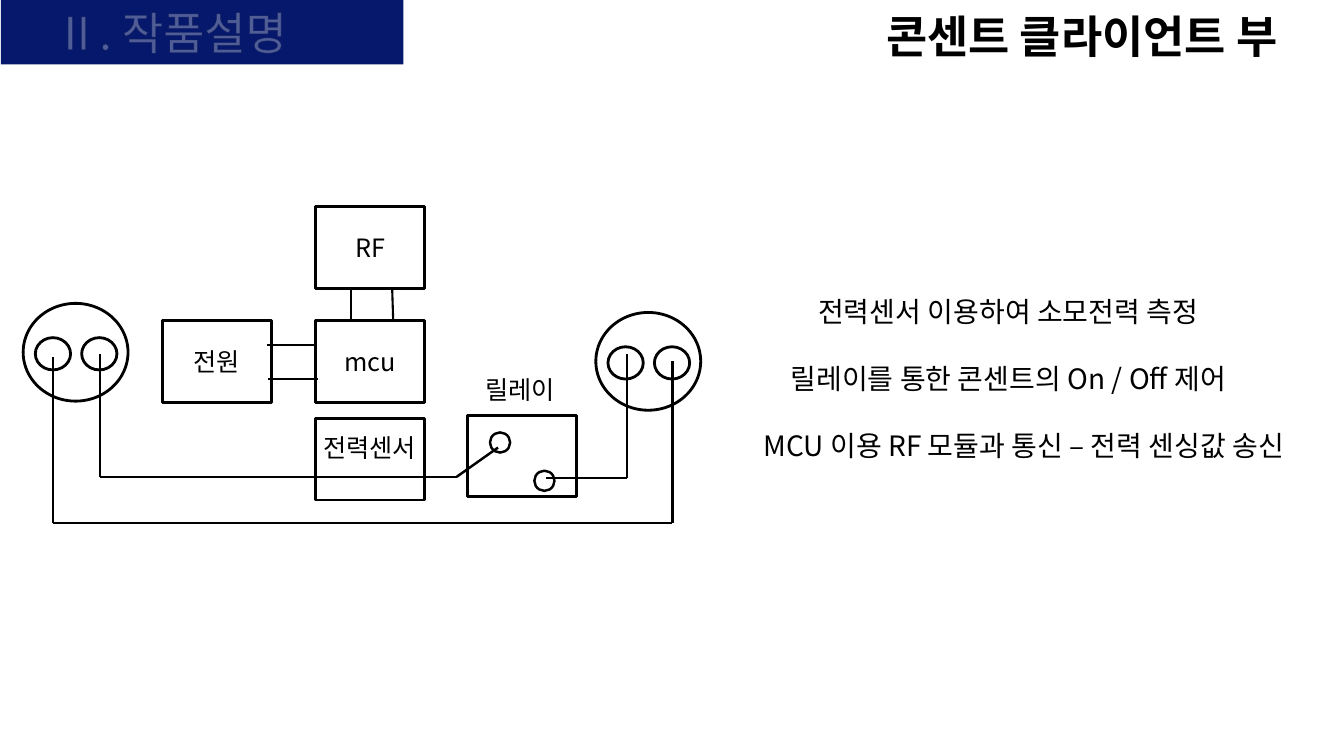
import pptx
import pptx.util
import pptx.dml.color
import pptx.enum.shapes
import pptx.enum.text
import pptx.oxml.ns
from lxml import etree
from pptx.util import Inches

COLORS = {"ink": "000000", "white": "FFFFFF", "navy": "05186B",
          "section_edge": "404040", "title_edge": "0D143C"}
FONT = "Noto Sans CJK KR"
SHAPES = pptx.enum.shapes.MSO_SHAPE
ALIGN = pptx.enum.text.PP_ALIGN

deck = pptx.Presentation()
deck.slide_width = Inches(13.33)
deck.slide_height = Inches(7.5)
slide = deck.slides.add_slide(deck.slide_layouts[6])


def add_part(parent, preset, box, weight=2):
    """Add an unfilled black outline at box (left, top, width, height)."""
    part = parent.add_shape(preset, *map(Inches, box))
    part.shadow.inherit = False
    part.fill.background()
    part.line.color.rgb = pptx.dml.color.RGBColor.from_string(COLORS["ink"])
    part.line.width = pptx.util.Pt(weight)
    return part


def write(paragraph, text, size, color="ink", align=ALIGN.CENTER):
    paragraph.alignment = align
    paragraph.line_spacing = pptx.util.Pt(size * 1.2)
    run = paragraph.add_run()
    run.text = text
    run.font.size = pptx.util.Pt(size)
    run.font.color.rgb = pptx.dml.color.RGBColor.from_string(COLORS[color])
    run.font.name = FONT
    east_asian = etree.SubElement(run.font._element, pptx.oxml.ns.qn("a:ea"))
    east_asian.set("typeface", FONT)
    return run


# Description
description = slide.shapes.add_textbox(*map(Inches, (6.22, 2.87, 7.56, 1.78))).text_frame
description.word_wrap = True
sentences = ["전력센서 이용하여 소모전력 측정",
             "릴레이를 통한 콘센트의 On / Off 제어",
             "MCU 이용 RF 모듈과 통신 – 전력 센싱값 송신"]
for index, sentence in enumerate(sentences):
    paragraph = description.paragraphs[0] if index == 0 else description.add_paragraph()
    write(paragraph, sentence, 20)
    if index:
        paragraph.space_before = pptx.util.Pt(24)
paragraph._p.get_or_add_pPr().set("marL", str(Inches(0.31)))

# Modules
for left, top, label in [(1.61, 3.18, "전원"), (3.13, 3.18, "mcu"), (3.13, 2.05, "RF"),
                         (3.13, 4.15, ""), (4.64, 4.12, "")]:
    module = add_part(slide.shapes, SHAPES.RECTANGLE, (left, top, 1.08, 0.81))
    if label:
        module.text_frame.vertical_anchor = pptx.enum.text.MSO_ANCHOR.MIDDLE
        write(module.text_frame.paragraphs[0], label, 18)

for label, box in [("릴레이", (4.68, 3.66, 0.96, 0.4)), ("전력센서", (3.06, 4.24, 1.21, 0.4))]:
    caption = slide.shapes.add_textbox(*map(Inches, box)).text_frame
    caption.word_wrap = False
    write(caption.paragraphs[0], label, 18)

# Outlets, each with two pin holes
for left, top in [(0.23, 3.01), (5.91, 3.1)]:
    outlet = slide.shapes.add_group_shape().shapes
    add_part(outlet, SHAPES.OVAL, (left, top, 1.04, 0.97))
    for offset in (0.12, 0.58):
        add_part(outlet, SHAPES.OVAL, (left + offset, top + 0.34, 0.35, 0.32))

# Relay contacts
for left, top in [(4.86, 4.29), (5.3, 4.67)]:
    add_part(slide.shapes, SHAPES.OVAL, (left, top, 0.2, 0.2), 1.75)

# Wires: line weight, then the points each wire passes through
wires = [
    (1.5, [(6.22, 3.51), (6.22, 4.74), (5.42, 4.74)]),
    (1.5, [(0.99, 3.51), (0.99, 4.73), (4.53, 4.73)]),
    (1.75, [(4.53, 4.73), (4.94, 4.44)]),
    (1.5, [(0.53, 3.54), (0.53, 5.19), (6.67, 5.19), (6.67, 3.58)]),
    (1.5, [(3.48, 2.87), (3.48, 3.19)]),
    (1.5, [(3.89, 2.87), (3.9, 3.19)]),
    (1.5, [(3.14, 3.42), (2.65, 3.42)]),
    (1.5, [(3.15, 3.76), (2.66, 3.76)]),
]
for weight, points in wires:
    for start, end in zip(points, points[1:]):
        wire = slide.shapes.add_connector(pptx.enum.shapes.MSO_CONNECTOR.STRAIGHT,
                                          *map(Inches, start + end))
        wire.line.color.rgb = pptx.dml.color.RGBColor.from_string(COLORS["ink"])
        wire.line.width = pptx.util.Pt(weight)
        etree.SubElement(wire._element.spPr, pptx.oxml.ns.qn("a:effectLst"))

# Section banner and slide title
banner = add_part(slide.shapes, SHAPES.RECTANGLE, (0.01, 0, 3.99, 0.64))
banner.fill.solid()
banner.fill.fore_color.rgb = pptx.dml.color.RGBColor.from_string(COLORS["navy"])
banner.line.fill.background()

headings = [("Ⅱ. 작품설명", (-0.01, 0, 4.01, 0.64), 0.55, "white", "section_edge", None),
            ("콘센트 클라이언트 부", (8.69, 0.04, 5.43, 0.64), 0.1, "ink", "title_edge", True)]
for text, box, inset, color, edge, bold in headings:
    heading = slide.shapes.add_textbox(*map(Inches, box)).text_frame
    heading.word_wrap = True
    heading.margin_left = Inches(inset)
    run = write(heading.paragraphs[0], text, 32, color, ALIGN.LEFT)
    run.font.bold = bold
    outline = etree.Element(pptx.oxml.ns.qn("a:ln"), w=str(pptx.util.Pt(0.75)))
    edge_fill = etree.SubElement(outline, pptx.oxml.ns.qn("a:solidFill"))
    edge_color = etree.SubElement(edge_fill, pptx.oxml.ns.qn("a:srgbClr"), val=COLORS[edge])
    etree.SubElement(edge_color, pptx.oxml.ns.qn("a:alpha"), val="30000")
    run.font._element.insert(0, outline)

deck.save("out.pptx")
